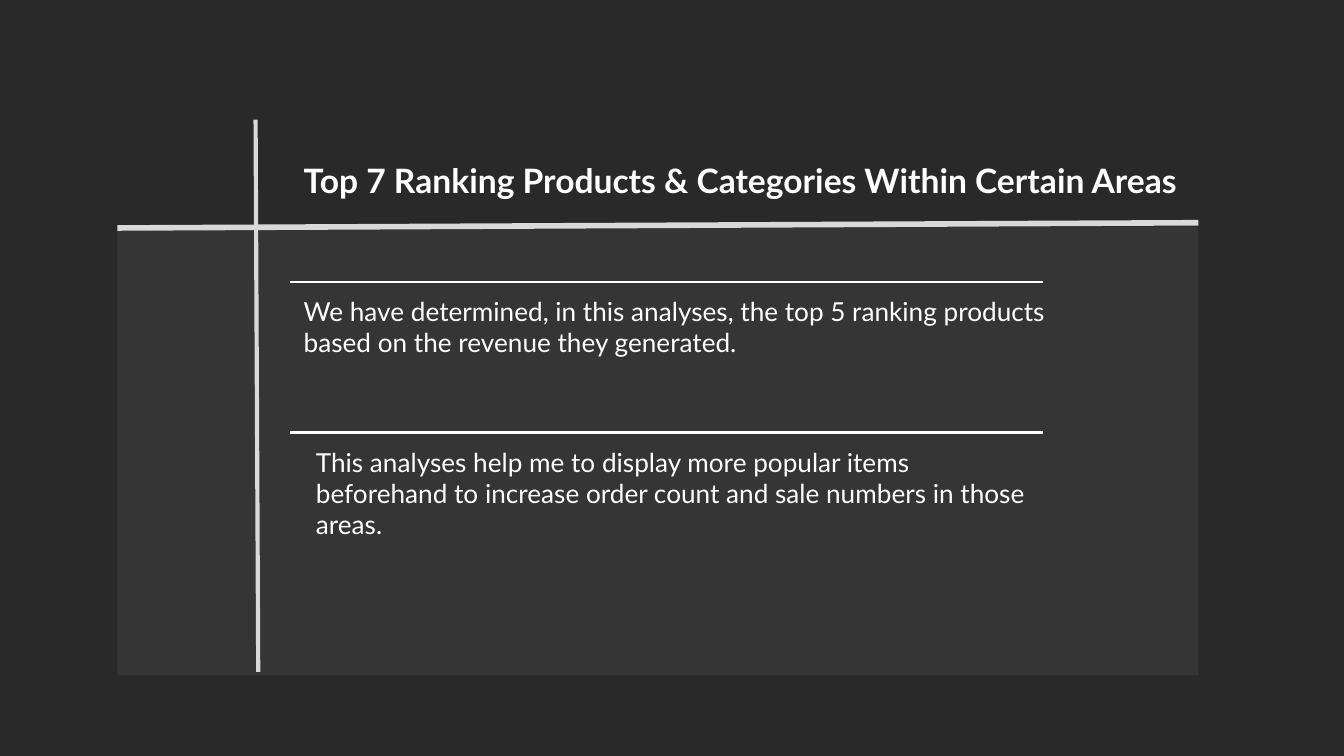
from pptx import Presentation
from pptx.dml.color import RGBColor
from pptx.enum.shapes import MSO_CONNECTOR, MSO_SHAPE
from pptx.enum.text import MSO_ANCHOR, MSO_AUTO_SIZE, PP_ALIGN
from pptx.oxml.ns import qn
from pptx.util import Cm, Pt

STRAIGHT = MSO_CONNECTOR.STRAIGHT
RECTANGLE = MSO_SHAPE.RECTANGLE
TOP = MSO_ANCHOR.TOP
LEFT = PP_ALIGN.LEFT
NO_AUTOFIT = MSO_AUTO_SIZE.NONE

TWO_CONTENT = 3
FONT = "Lato"
WHITE, GREY, PANEL, BACKGROUND = "FFFFFF", "D9D9D9", "353535", "292929"
RULE_LEFT, RULE_RIGHT = 5.49, 19.71
INSET = 0.25

TITLE = "Top 7 Ranking Products & Categories Within Certain Areas"
# Text, left, top and width; a rule runs along the top of each
FINDINGS = [
    ("We have determined, in this analyses, the top 5 ranking products "
     "based on the revenue they generated.", 5.49, 5.33, 14.78),
    ("This analyses help me to display more popular items beforehand to "
     "increase order count and sale numbers in those areas.", 5.72, 8.18, 14.25),
]


def set_color(color, value):
    color.rgb = RGBColor.from_string(value)


def set_solid(fill, value):
    fill.solid()
    set_color(fill.fore_color, value)


def add_line(s, x1, y1, x2, y2, color, width):
    line = s.shapes.add_connector(STRAIGHT, Cm(x1), Cm(y1), Cm(x2), Cm(y2))
    set_color(line.line.color, color)
    line.line.width = Pt(width)
    sp_pr = line._element.spPr
    sp_pr.append(sp_pr.makeelement(qn("a:effectLst"), {}))


def add_panel(s, left, top, width, height, color):
    """Add a plain rectangle behind everything else on the slide."""
    sp = s.shapes.add_shape(RECTANGLE, Cm(left), Cm(top), Cm(width), Cm(height))
    sp.shadow.inherit = False
    set_solid(sp.fill, color)
    sp.line.fill.background()
    s.shapes._spTree.insert(2, sp._element)


def fill_text(sp, text, left, top, width, height, size=14, bold=False, color=WHITE):
    """Place a placeholder and give it one unbulleted paragraph."""
    sp.left, sp.top, sp.width, sp.height = Cm(left), Cm(top), Cm(width), Cm(height)
    tf = sp.text_frame
    tf.word_wrap = True
    tf.auto_size = NO_AUTOFIT
    tf.vertical_anchor = TOP
    tf.margin_left = tf.margin_right = tf.margin_top = tf.margin_bottom = Cm(INSET)
    p = tf.paragraphs[0]
    p.alignment = LEFT
    p.space_before = Pt(0)
    p_pr = p._p.get_or_add_pPr()
    p_pr.set("marL", "0")
    p_pr.set("indent", "0")
    p_pr.append(p_pr.makeelement(qn("a:buNone"), {}))
    r = p.add_run()
    r.text = text
    r.font.name = FONT
    r.font.size = Pt(size)
    r.font.bold = bold
    set_color(r.font.color, color)


def main():
    prs = Presentation()
    prs.slide_width, prs.slide_height = Cm(25.4), Cm(14.29)
    s = prs.slides.add_slide(prs.slide_layouts[TWO_CONTENT])
    set_solid(s.background.fill, BACKGROUND)

    add_panel(s, 2.22, 4.29, 20.43, 8.48, PANEL)
    add_line(s, 4.83, 2.26, 4.88, 12.7, GREY, 2.25)
    add_line(s, 2.22, 4.31, 22.65, 4.21, GREY, 3)

    fill_text(s.shapes.title, TITLE, 5.49, 2.77, 17.7, 1.27, size=18, bold=True)
    for idx, (text, left, top, width) in enumerate(FINDINGS, start=1):
        fill_text(s.placeholders[idx], text, left, top, width, 1.7)
        add_line(s, RULE_LEFT, top, RULE_RIGHT, top, WHITE, 1.5)

    prs.save("out.pptx")


if __name__ == "__main__":
    main()
